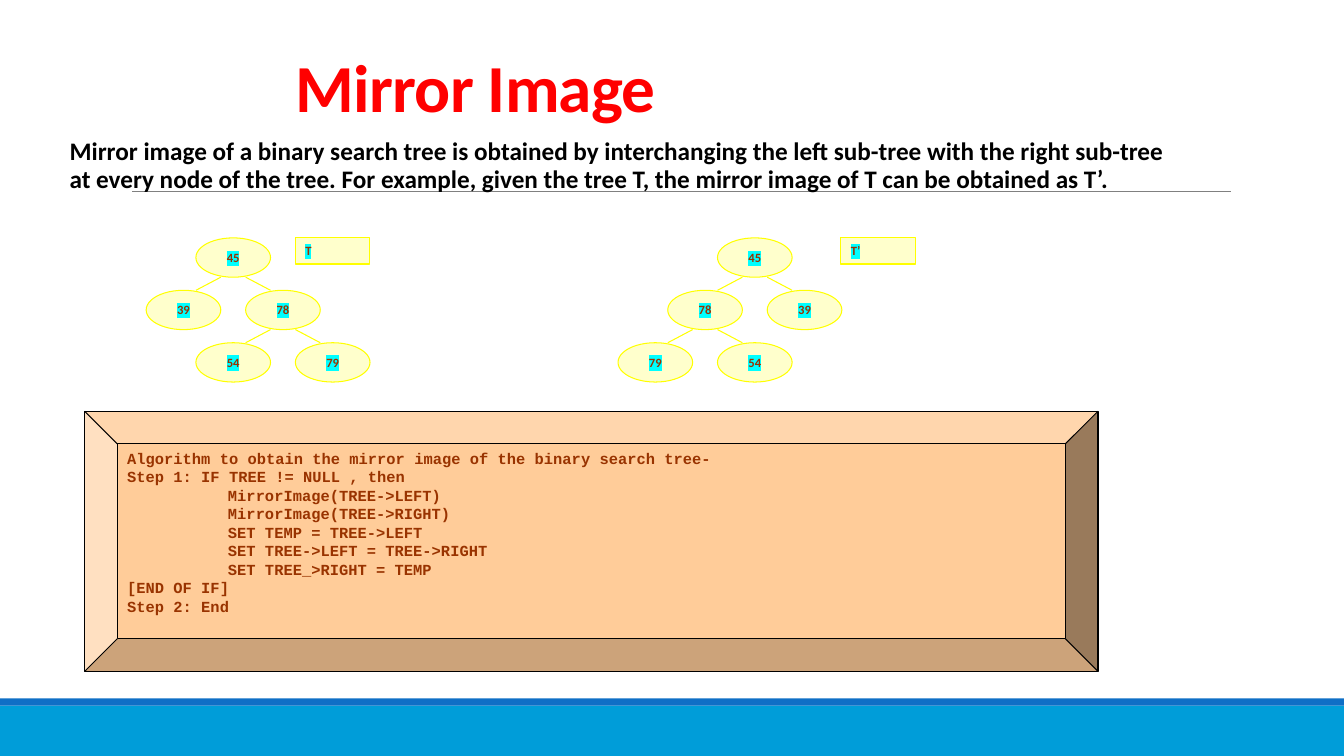
"""Builds the slide on the mirror image of a binary search tree."""
from dataclasses import dataclass

from lxml import etree
from pptx import Presentation
from pptx import util as u
from pptx.dml.color import RGBColor
from pptx.enum import shapes, text
from pptx.oxml.ns import qn


@dataclass(frozen=True)
class Theme:
    """Colours, fonts and type sizes of the slide."""
    title: str = "FF0000"
    body: str = "000000"
    label: str = "993300"
    highlight: str = "00FFFF"
    node: str = "FFFFCC"
    edge: str = "FFFF00"
    panel: str = "FFCC99"
    panel_edge: str = "000000"
    band: str = "009DD9"
    stripe: str = "0F6FC6"
    rule: str = "808080"
    sans: str = "Calibri"
    mono: str = "Courier New"
    title_size: int = 48
    body_size: int = 18
    code_size: int = 11
    node_size: int = 9


class TreeSlide:
    """Holds the theme and the slide, and adds each kind of element."""

    def __init__(self, deck, theme):
        """Starts a title and content slide."""
        self.theme = theme
        self.slide = deck.slides.add_slide(deck.slide_layouts[1])

    def style(self, paragraph, size, color, face=None, **formats):
        """Formats a paragraph and its run."""
        for name, value in formats.items():
            setattr(paragraph, name, value)
        font = paragraph.runs[0].font
        values = {"size": u.Pt(size), "bold": True, "name": face or self.theme.sans}
        for name, value in values.items():
            setattr(font, name, value)
        font.color.rgb = RGBColor.from_string(color)
        return paragraph

    def placeholder(self, index, box, wording, size, color, anchor, **formats):
        """Moves a placeholder to the front and fills it."""
        holder = self.slide.placeholders[index]
        holder.left, holder.top, holder.width, holder.height = map(u.Inches, box)
        holder.element.getparent().append(holder.element)
        frame = holder.text_frame
        frame.text = wording
        frame.auto_size = text.MSO_AUTO_SIZE.NONE
        frame.vertical_anchor = anchor
        self.style(frame.paragraphs[0], size, color,
                   alignment=text.PP_ALIGN.LEFT, **formats)
        return frame

    def shape(self, kind, box, fill, line=None):
        """Adds a filled preset shape."""
        item = self.slide.shapes.add_shape(kind, *map(u.Inches, box))
        item.shadow.inherit = False
        item.fill.solid()
        item.fill.fore_color.rgb = RGBColor.from_string(fill)
        if line:
            item.line.color.rgb = RGBColor.from_string(line)
            item.line.width = u.Pt(0.75)
        else:
            item.line.fill.background()
        return item

    def line(self, start, end, color, width=0.75):
        """Adds a straight line."""
        link = self.slide.shapes.add_connector(
            shapes.MSO_CONNECTOR.STRAIGHT, *map(u.Inches, start + end))
        link.line.color.rgb = RGBColor.from_string(color)
        link.line.width = u.Pt(width)
        etree.SubElement(link.element.spPr, qn("a:effectLst"))

    def label(self, kind, box, wording, alignment):
        """Adds a yellow shape with highlighted text."""
        theme = self.theme
        frame = self.shape(kind, box, theme.node, theme.edge).text_frame
        frame.text = wording
        frame.vertical_anchor = text.MSO_ANCHOR.MIDDLE
        paragraph = self.style(frame.paragraphs[0], theme.node_size, theme.label,
                               alignment=alignment)
        mark = etree.Element(qn("a:highlight"))
        etree.SubElement(mark, qn("a:srgbClr"), val=theme.highlight)
        paragraph.runs[0].font.fill._xPr.find(qn("a:solidFill")).addnext(mark)

    def tree(self, left, top, nodes, name, name_left):
        """Adds a named tree whose nodes are (value, column, row, parent)."""
        width, height = 0.74, 0.39
        step, drop, offset = width * 2 / 3, height * 4 / 3, width / 6
        places = {value: (left + column * step, top + row * drop)
                  for value, column, row, _ in nodes}
        for value, _, _, parent in nodes:
            x, y = places[value]
            if parent:
                parent_x, parent_y = places[parent]
                side = offset if x > parent_x else -offset
                self.line((parent_x + width / 2 + side, parent_y + height),
                          (x + width / 2 - side, y), self.theme.edge)
            self.label(shapes.MSO_SHAPE.OVAL, (x, y, width, height), value,
                       text.PP_ALIGN.CENTER)
        self.label(shapes.MSO_SHAPE.RECTANGLE, (name_left, top, width, 0.26), name,
                   text.PP_ALIGN.LEFT)

    def algorithm(self, box, steps):
        """Adds the bevelled panel of (indent, code) lines."""
        theme = self.theme
        frame = self.shape(shapes.MSO_SHAPE.BEVEL, box, theme.panel,
                           theme.panel_edge).text_frame
        frame.vertical_anchor = text.MSO_ANCHOR.TOP
        frame.text = "\n".join(code for _, code in steps)
        for paragraph, (indent, _) in zip(frame.paragraphs, steps):
            self.style(paragraph, theme.code_size, theme.label, theme.mono,
                       alignment=text.PP_ALIGN.LEFT)
            paragraph._p.get_or_add_pPr().set("marL", str(u.Inches(indent)))


def main():
    """Builds and saves the slide."""
    deck = Presentation()
    deck.slide_width, deck.slide_height = u.Inches(13.33), u.Inches(7.5)
    theme = Theme()
    page = TreeSlide(deck, theme)

    page.shape(shapes.MSO_SHAPE.RECTANGLE, (0, 7, 13.33, 0.5), theme.band)
    page.shape(shapes.MSO_SHAPE.RECTANGLE, (0, 6.93, 13.33, 0.07), theme.stripe)
    page.line((1.31, 1.9), (12.21, 1.9), theme.rule, 0.5)

    heading = page.placeholder(0, (2.83, 0.5, 7.75, 0.8), "Mirror Image",
                               theme.title_size, theme.title,
                               text.MSO_ANCHOR.BOTTOM, line_spacing=0.85)
    heading.paragraphs[0].runs[0]._r.get_or_add_rPr().set("spc", "-50")

    definition = page.placeholder(
        1, (0.59, 1.33, 11.07, 4.95),
        "Mirror image of a binary search tree is obtained by interchanging the left "
        "sub-tree with the right sub-tree at every node of the tree. For example, "
        "given the tree T, the mirror image of T can be obtained as T’.",
        theme.body_size, theme.body, text.MSO_ANCHOR.TOP,
        line_spacing=0.9, space_before=u.Pt(0), space_after=u.Pt(2))
    definition.margin_left = definition.margin_right = 0
    properties = definition.paragraphs[0]._p.get_or_add_pPr()
    for name, value in {"marL": u.Inches(0.1), "indent": 0}.items():
        properties.set(name, str(value))
    etree.SubElement(properties, qn("a:buNone"))

    page.tree(1.45, 2.36, [("45", 1, 0, None), ("39", 0, 1, "45"), ("78", 2, 1, "45"),
                           ("54", 1, 2, "78"), ("79", 3, 2, "78")], "T", 2.93)
    page.tree(6.13, 2.36, [("45", 2, 0, None), ("78", 1, 1, "45"), ("39", 3, 1, "45"),
                           ("79", 0, 2, "78"), ("54", 2, 2, "78")], "T’", 8.34)

    page.algorithm((0.84, 4.08, 10.05, 2.58), [
        (0, "Algorithm to obtain the mirror image of the binary search tree-"),
        (0, "Step 1: IF TREE != NULL , then"),
        (1, "MirrorImage(TREE->LEFT)"),
        (1, "MirrorImage(TREE->RIGHT)"),
        (1, "SET TEMP = TREE->LEFT"),
        (1, "SET TREE->LEFT = TREE->RIGHT"),
        (1, "SET TREE_>RIGHT = TEMP"),
        (0, "[END OF IF]"),
        (0, "Step 2: End"),
    ])
    deck.save("out.pptx")


if __name__ == "__main__":
    main()
